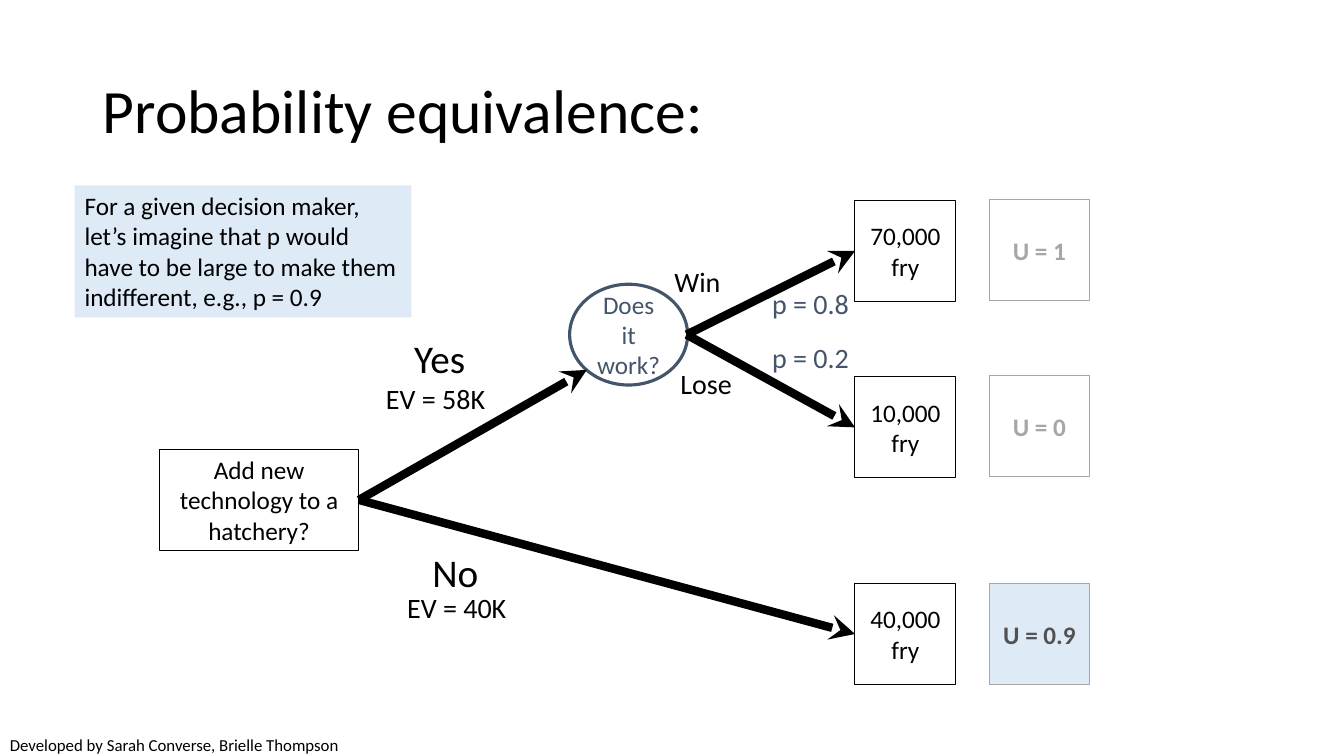
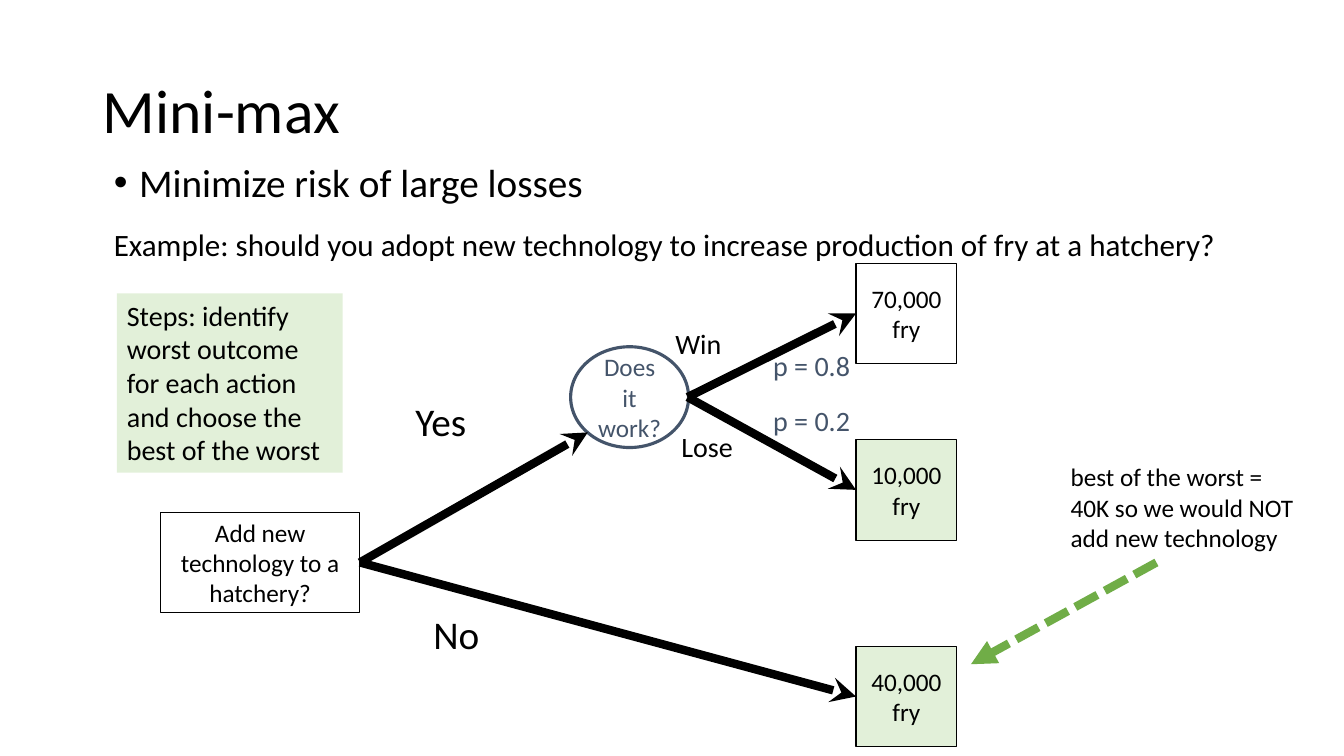
from dataclasses import dataclass

from lxml import etree
from pptx import Presentation
from pptx.dml.color import RGBColor
from pptx.enum import dml, shapes, text
from pptx.oxml import ns
from pptx.util import Inches, Pt


@dataclass(frozen=True)
class Theme:
    font: str = "Calibri"
    black: str = "000000"
    white: str = "FFFFFF"
    slate: str = "44546A"
    gray: str = "A6A6A6"
    dark_gray: str = "525252"
    pale_blue: str = "DEEBF7"
    pale_green: str = "E2F0D9"
    green: str = "70AD47"
    title: float = 44
    large: float = 28
    example: float = 22.2
    label: float = 20
    body: float = 18
    credit: float = 12
    hairline: float = 0.75
    outline: float = 2.25
    arrow: float = 6


theme = Theme()
RECTANGLE = shapes.MSO_SHAPE.RECTANGLE
OVAL = shapes.MSO_SHAPE.OVAL
PLACEHOLDERS = {"title": 0, "body": 1}


def add_text(slide, kind, at, words, size, color=theme.black, fill=None, line=None,
             weight=theme.hairline, bold=False, spacing=None, middle=False):
    """Fill a placeholder, a text box or an outlined shape with one paragraph."""
    frame = [Inches(value) for value in at]
    if kind in PLACEHOLDERS:
        shape = slide.placeholders[PLACEHOLDERS[kind]]
        for name, value in zip(("left", "top", "width", "height"), frame):
            setattr(shape, name, value)
    elif kind == "text":
        shape = slide.shapes.add_textbox(*frame)
    else:
        shape = slide.shapes.add_shape(kind, *frame)
        shape.shadow.inherit = False
        shape.fill.background()
    if fill:
        shape.fill.solid()
        shape.fill.fore_color.rgb = RGBColor.from_string(fill)
    if line:
        shape.line.color.rgb = RGBColor.from_string(line)
        shape.line.width = Pt(weight)
    centered = kind in (RECTANGLE, OVAL)
    anchor = text.MSO_ANCHOR.MIDDLE if centered or middle else text.MSO_ANCHOR.TOP
    frame_format = {"word_wrap": True, "auto_size": text.MSO_AUTO_SIZE.NONE,
                    "vertical_anchor": anchor}
    for name, value in frame_format.items():
        setattr(shape.text_frame, name, value)
    paragraph = shape.text_frame.paragraphs[0]
    alignment = text.PP_ALIGN.CENTER if centered else text.PP_ALIGN.LEFT
    paragraph_format = {"alignment": alignment, "line_spacing": spacing, "space_before": Pt(0)}
    for name, value in paragraph_format.items():
        setattr(paragraph, name, value)
    run = paragraph.add_run()
    run.text = words
    for name, value in {"name": theme.font, "size": Pt(size), "bold": bold}.items():
        setattr(run.font, name, value)
    run.font.color.rgb = RGBColor.from_string(color)
    return shape


def add_arrow(slide, start, end, color=theme.black, head="stealth", dash=None):
    """Draw an arrow; each end is a point or a (shape, side) pair to join."""
    points = [(0, 0) if hasattr(place[0], "shape_id") else place for place in (start, end)]
    (x1, y1), (x2, y2) = points
    arrow = slide.shapes.add_connector(shapes.MSO_CONNECTOR.STRAIGHT,
                                       Inches(x1), Inches(y1), Inches(x2), Inches(y2))
    for place, join in ((start, arrow.begin_connect), (end, arrow.end_connect)):
        if hasattr(place[0], "shape_id"):
            join(*place)
    arrow.line.color.rgb = RGBColor.from_string(color)
    arrow.line.width = Pt(theme.arrow)
    if dash:
        arrow.line.dash_style = dash
    etree.SubElement(arrow.line._get_or_add_ln(), ns.qn("a:tailEnd"), type=head)
    etree.SubElement(arrow._element.spPr, ns.qn("a:effectLst"))
    return arrow


presentation = Presentation()
presentation.slide_width, presentation.slide_height = Inches(13.33), Inches(7.5)
title_and_content, title_only = (presentation.slide_layouts[index] for index in (1, 5))

# Titles and the decision tree that both slides share
slide_plans = [
    # layout, title, tree offset, shaded outcomes
    (title_only, "Probability equivalence:", (0, 0), ()),
    (title_and_content, "Mini-max", (0.01, 0.62), ("10,000 fry", "40,000 fry")),
]
outcomes = {"70,000 fry": 1.99, "10,000 fry": 3.74, "40,000 fry": 5.79}
branch_labels = [
    # left, top, width, height, words, size, color, fill
    (4.01, 3.27, 0.78, 0.4, "Yes", theme.large, theme.black, theme.white),
    (4.19, 5.39, 0.7, 0.58, "No", theme.large, theme.black, None),
    (6.59, 2.57, 0.8, 0.4, "Win", theme.label, theme.black, None),
    (6.65, 3.59, 0.94, 0.4, "Lose", theme.label, theme.black, None),
    (7.56, 2.79, 1.08, 0.37, "p = 0.8", theme.label, theme.slate, None),
    (7.56, 3.33, 1.08, 0.37, "p = 0.2", theme.label, theme.slate, None),
]
slides = []
for layout, title, (dx, dy), shaded in slide_plans:
    slide = presentation.slides.add_slide(layout)
    slides.append(slide)
    add_text(slide, "title", (0.92, 0.4, 11.5, 1.45), title, theme.title,
             spacing=0.9, middle=True)

    # Decision, chance and outcome nodes
    decision = add_text(slide, RECTANGLE, (1.58 + dx, 4.46 + dy, 1.98, 1),
                        "Add new technology to a hatchery?", theme.body, line=theme.black)
    chance = add_text(slide, OVAL, (5.65 + dx, 2.82 + dy, 1.17, 1), "Does it work?",
                      theme.body, theme.slate, line=theme.slate, weight=theme.outline)
    win, lose, sure = outcome_boxes = [
        add_text(slide, RECTANGLE, (8.48 + dx, top + dy, 1, 1), words, theme.body,
                 fill=theme.pale_green if words in shaded else None, line=theme.black)
        for words, top in outcomes.items()]

    # Branches and their labels
    chance_exit = (6.81 + dx, 3.32 + dy)
    branches = [add_arrow(slide, start, end) for start, end in (
        ((decision, 3), (5.82 + dx, 3.67 + dy)),
        (chance_exit, (win, 1)),
        (chance_exit, (lose, 1)),
        ((decision, 3), (sure, 1)))]
    labels = [add_text(slide, "text", (left + dx, top + dy, width, height),
                       words, size, color, fill)
              for left, top, width, height, words, size, color, fill in branch_labels]
    slide.shapes.add_group_shape([decision, chance, *outcome_boxes, *branches, *labels])

equivalence, minimax = slides

# Probability equivalence: expected values, utilities, note and credit
for at, words in (((3.94, 5.81, 1.3, 0.4), "EV = 40K"), ((3.73, 3.74, 1.34, 0.4), "EV = 58K")):
    add_text(equivalence, "text", at, words, theme.label)
utilities = [
    ("U = 1", 1.98, theme.gray, None),
    ("U = 0", 3.73, theme.gray, None),
    ("U = 0.9", 5.79, theme.dark_gray, theme.pale_blue),
]
for words, top, color, fill in utilities:
    add_text(equivalence, RECTANGLE, (9.81, top, 1, 1), words, theme.body, color,
             fill, line=theme.gray, bold=True)
add_text(equivalence, "text", (0.74, 1.84, 3.34, 1.31),
         "For a given decision maker, let’s imagine that p would have to be large "
         "to make them indifferent, e.g., p = 0.9", theme.body, fill=theme.pale_blue)
add_text(equivalence, "text", (0, 7.24, 6.67, 0.3),
         "Developed by Sarah Converse, Brielle Thompson", theme.credit)

# Mini-max: bullet and example
goal = add_text(minimax, "body", (1.03, 1.57, 11.5, 0.65),
                "Minimize risk of large losses", theme.large, spacing=0.9)
properties = goal.text_frame.paragraphs[0]._p.get_or_add_pPr()
properties.set("marL", str(Inches(0.25)))
properties.set("indent", str(Inches(-0.25)))
etree.SubElement(properties, ns.qn("a:buFont"), typeface="Arial")
etree.SubElement(properties, ns.qn("a:buChar"), char="•")
add_text(minimax, "text", (1.03, 2.23, 11.81, 0.55),
         "Example: should you adopt new technology to increase production of fry at a hatchery?",
         theme.example, spacing=0.9)

# Mini-max: steps and conclusion
add_text(minimax, "text", (1.16, 2.91, 2.24, 1.78),
         "Steps: identify worst outcome for each action and choose the best of the worst",
         theme.label, fill=theme.pale_green)
add_text(minimax, "text", (10.52, 4.53, 2.48, 1.01),
         "best of the worst = 40K so we would NOT add new technology", theme.body)
add_arrow(minimax, (11.47, 5.58), (9.63, 6.59), theme.green, "triangle",
          dml.MSO_LINE.SQUARE_DOT)

presentation.save("out.pptx")
